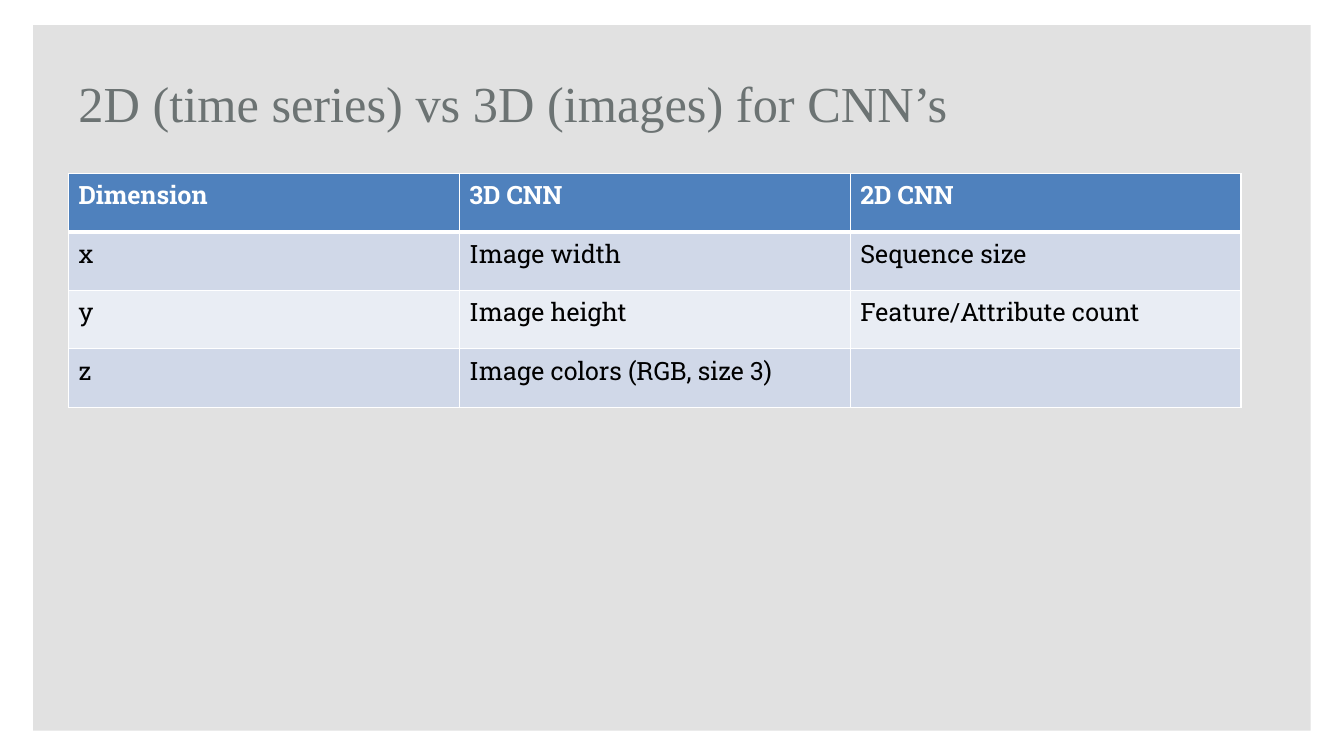
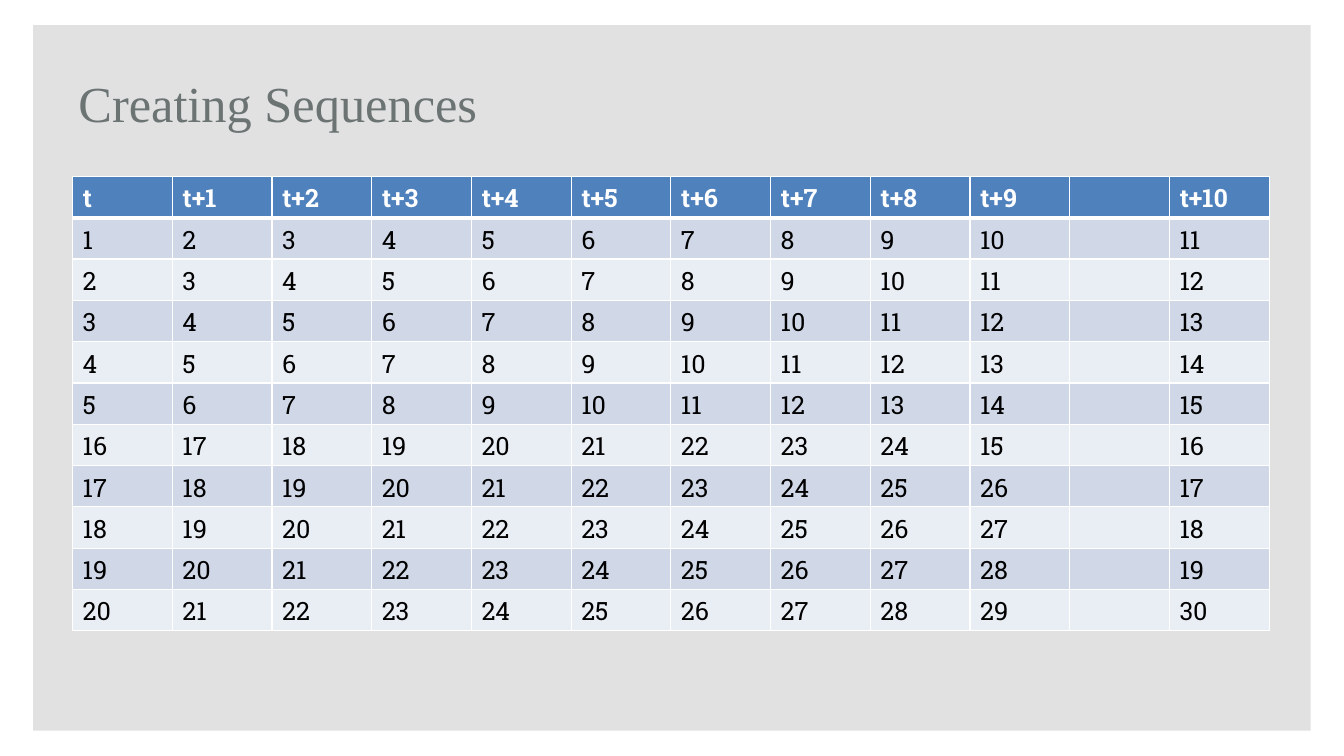
import pptx
import pptx.dml.color
import pptx.enum.shapes
import pptx.enum.text
import pptx.oxml.ns
import pptx.util
from lxml import etree

Inches = pptx.util.Inches
Pt = pptx.util.Pt

COLORS = {
    "panel": "E1E1E1",
    "title": "6C7373",
    "header": "4F81BD",
    "header_text": "FFFFFF",
    "odd_row": "D0D8E8",
    "even_row": "E9EDF4",
    "text": "000000",
    "border": "FFFFFF",
}
TITLE_FONT = "Times New Roman"
TABLE_FONT = "Roboto Slab"

DIMENSIONS = [
    ["Dimension", "3D CNN", "2D CNN"],
    ["x", "Image width", "Sequence size"],
    ["y", "Image height", "Feature/Attribute count"],
    ["z", "Image colors (RGB, size 3)", ""],
]
STEPS = 10
# First value of each sequence and the value it predicts
SEQUENCES = [(1, 11), (2, 12), (3, 13), (4, 14), (5, 15),
             (16, 16), (17, 17), (18, 18), (19, 19), (20, 30)]
# Last step where it does not follow from the first value
LAST_STEPS = {16: 15}


def rgb(name):
    return pptx.dml.color.RGBColor.from_string(COLORS[name])


def style_runs(text_frame, font_name, size, color, bold=False):
    for para in text_frame.paragraphs:
        for span in para.runs:
            span.font.name = font_name
            span.font.size = Pt(size)
            span.font.bold = bold
            span.font.color.rgb = rgb(color)


def add_page(deck, title):
    """Add a blank slide with the grey panel and a title."""
    page = deck.slides.add_slide(deck.slide_layouts[6])
    panel = page.shapes.add_shape(
        pptx.enum.shapes.MSO_SHAPE.RECTANGLE,
        Inches(0.33), Inches(0.25), Inches(12.67), Inches(7))
    panel.shadow.inherit = False
    panel.fill.solid()
    panel.fill.fore_color.rgb = rgb("panel")
    panel.line.fill.background()

    box = page.shapes.add_textbox(
        Inches(0.68), Inches(0.48), Inches(10.55), Inches(1.07))
    frame = box.text_frame
    frame.word_wrap = True
    frame.vertical_anchor = pptx.enum.text.MSO_ANCHOR.MIDDLE
    frame.text = title
    style_runs(frame, TITLE_FONT, 36, "title")
    return page


def set_borders(cell, top, bottom):
    """Draw all four cell borders; top and bottom are widths in points."""
    qn = pptx.oxml.ns.qn
    properties = cell._tc.get_or_add_tcPr()
    for side, width in (("L", 1), ("R", 1), ("T", top), ("B", bottom)):
        line = etree.SubElement(properties, qn(f"a:ln{side}"), w=str(Pt(width)))
        fill = etree.SubElement(line, qn("a:solidFill"))
        etree.SubElement(fill, qn("a:srgbClr"), val=COLORS["border"])


def fill_cell(cell, text, row):
    header = row == 0
    set_borders(cell, top=3 if row == 1 else 1, bottom=3 if header else 1)
    cell.fill.solid()
    band = "header" if header else "odd_row" if row % 2 else "even_row"
    cell.fill.fore_color.rgb = rgb(band)
    cell.text_frame.text = text
    style_runs(cell.text_frame, TABLE_FONT, 18,
               "header_text" if header else "text", bold=header)


def add_grid(page, rows, left, top, width, row_height):
    """Add a banded table with equal columns and rows."""
    table = page.shapes.add_table(
        len(rows), len(rows[0]), Inches(left), Inches(top),
        Inches(width), Inches(row_height * len(rows))).table
    for row, texts in enumerate(rows):
        for column, text in enumerate(texts):
            fill_cell(table.cell(row, column), text, row)


def sequence_rows():
    header = ["t"] + [f"t+{step}" for step in range(1, STEPS)]
    rows = [header + ["", f"t+{STEPS}"]]
    for first, target in SEQUENCES:
        values = list(range(first, first + STEPS))
        values[-1] = LAST_STEPS.get(first, values[-1])
        rows.append([str(value) for value in values] + ["", str(target)])
    return rows


def main():
    deck = pptx.Presentation()
    deck.slide_width = Inches(13.33)
    deck.slide_height = Inches(7.5)

    page = add_page(deck, "2D (time series) vs 3D (images) for CNN’s")
    add_grid(page, DIMENSIONS, 0.68, 1.72, 11.63, 0.58)

    page = add_page(deck, "Creating Sequences")
    add_grid(page, sequence_rows(), 0.72, 1.75, 11.87, 0.41)

    deck.save("out.pptx")


if __name__ == "__main__":
    main()
